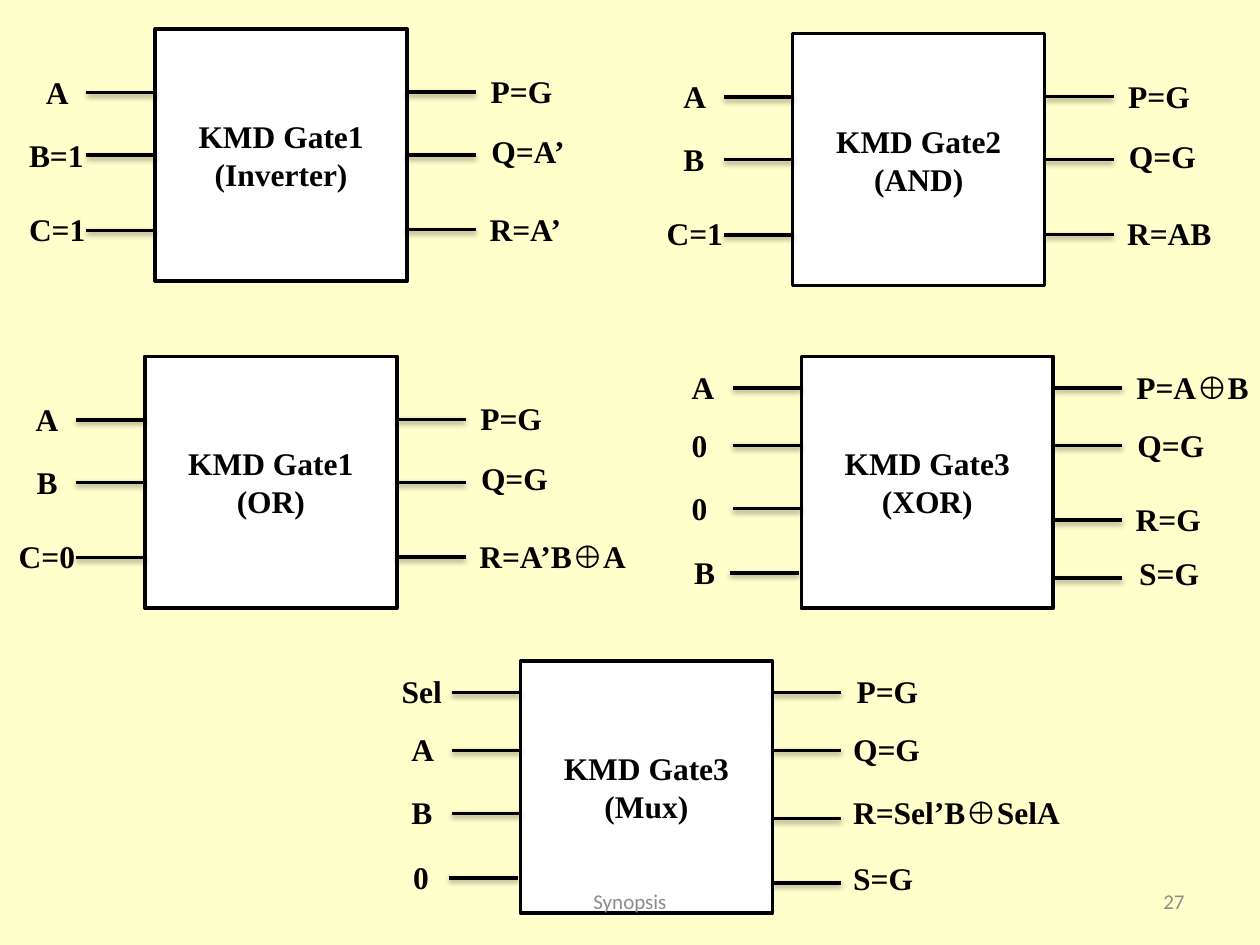
import pptx
import pptx.util
import pptx.dml.color
import pptx.enum.shapes
import pptx.enum.text
import pptx.oxml
import pptx.oxml.ns

Pt = pptx.util.Pt
RGB = pptx.dml.color.RGBColor.from_string
Align = pptx.enum.text.PP_ALIGN
Anchor = pptx.enum.text.MSO_ANCHOR
Fit = pptx.enum.text.MSO_AUTO_SIZE
Shape = pptx.enum.shapes.MSO_SHAPE
Straight = pptx.enum.shapes.MSO_CONNECTOR.STRAIGHT

theme = {
    "paper": RGB("FFFFCC"),
    "fill": RGB("FFFFFF"),
    "ink": RGB("000000"),
    "gray": RGB("8C8C8C"),
    "gate": {"name": "Times New Roman", "size": Pt(18), "bold": True},
    "foot": {"name": "Calibri", "size": Pt(12), "bold": False},
}
shadow = (
    f'<a:effectLst {pptx.oxml.ns.nsdecls("a")}>'
    '<a:outerShdw blurRad="40000" dist="20000" dir="5400000" rotWithShape="0">'
    '<a:srgbClr val="000000"><a:alpha val="38000"/></a:srgbClr>'
    '</a:outerShdw></a:effectLst>'
)


def write(frame, text, look, color, setup):
    for key, value in setup.items():
        setattr(frame, key, value)
    par = frame.paragraphs[0]
    par.text = text
    for key, value in look.items():
        setattr(par.font, key, value)
    par.font.color.rgb = color
    return par


def trim(line):
    line.color.rgb = theme["ink"]
    line.width = Pt(2)


side = 144
wire = 39.3
pad = 14.4
label = {"word_wrap": False, "auto_size": Fit.SHAPE_TO_FIT_TEXT}
middle = {"word_wrap": True, "vertical_anchor": Anchor.MIDDLE}
ems = {
    "A": 0.72, "B": 0.67, "C": 0.72, "G": 0.78, "P": 0.61, "Q": 0.78,
    "R": 0.72, "S": 0.56, "e": 0.44, "l": 0.28, "0": 0.5, "1": 0.5,
    "=": 0.57, "’": 0.33, "⊕": 1.15,
}

three = {"in": (36.3, 72, 115), "out": (36, 72, 114.7),
         "left": (21.3, 57.3, 99.8), "right": (21, 55.4, 99.8)}
four = {"in": (18, 51, 87, 123.8), "out": (18, 51, 90, 126.7),
        "left": (2.9, 36, 72, 108.7), "right": (2.9, 36, 72, 109.7)}
xor = four | {"out": (18, 51, 93.6, 126.7), "right": (2.9, 36, 78.5, 109.7)}

gates = [
    ("KMD Gate3 (Mux)", 297.4, 377.8, four,
     [("Sel", -75), ("A", -69.4), ("B", -69.4), ("0", -68.4)],
     [("P=G", 185), ("Q=G", 183), ("R=Sel’B⊕SelA", 183), ("S=G", 183)]),
    ("KMD Gate3 (XOR)", 457.9, 203.6, xor,
     [("A", -69.8), ("0", -69.8), ("0", -69.8), ("B", -68.4)],
     [("P=A⊕B", 184.4), ("Q=G", 185), ("R=G", 184), ("S=G", 186)]),
    ("KMD Gate1 (Inverter)", 88.7, 16.6, three,
     [("A", -69.6), ("B=1", -79.2), ("C=1", -79.2)],
     [("P=G", 184.6), ("Q=A’", 185), ("R=A’", 184)]),
    ("KMD Gate2 (AND)", 453, 19.2, three,
     [("A", -69.6), ("B", -69.6), ("C=1", -79.2)],
     [("P=G", 184.6), ("Q=G", 185), ("R=AB", 184)]),
    ("KMD Gate1 (OR)", 82.8, 203.6, three,
     [("A", -69.6), ("B", -69), ("C=0", -79.2)],
     [("P=G", 184.6), ("Q=G", 185), ("R=A’B⊕A", 184)]),
]

deck = pptx.Presentation()
deck.slide_width, deck.slide_height = Pt(720), Pt(540)
slide = deck.slides.add_slide(deck.slide_layouts[6])
slide.background.fill.solid()
slide.background.fill.fore_color.rgb = theme["paper"]

for title, left, top, rows, inputs, outputs in gates:
    group = slide.shapes.add_group_shape().shapes
    box = group.add_shape(Shape.RECTANGLE, Pt(left), Pt(top), Pt(side), Pt(side))
    box.shadow.inherit = False
    box.fill.solid()
    box.fill.fore_color.rgb = theme["fill"]
    trim(box.line)
    par = write(box.text_frame, title, theme["gate"], theme["ink"], middle)
    par.alignment = Align.CENTER

    banks = [(inputs, rows["in"], rows["left"], -wire),
             (outputs, rows["out"], rows["right"], side)]
    for pins, drops, tops, start in banks:
        for (text, shift), drop, rise in zip(pins, drops, tops):
            begin = left + start
            if start < 0 and drop == 123.8:
                begin -= 1.4
            level = Pt(top + drop)
            lead = group.add_connector(
                Straight, Pt(begin), level, Pt(begin + wire), level)
            trim(lead.line)
            lead._element.spPr.append(pptx.oxml.parse_xml(shadow))
            if drop == side / 2:
                if start < 0:
                    lead.end_connect(box, 1)
                else:
                    lead.begin_connect(box, 3)
            width = pad + 18 * sum(ems[sign] for sign in text)
            note = group.add_textbox(
                Pt(left + shift), Pt(top + rise), Pt(width), Pt(29))
            write(note.text_frame, text, theme["gate"], theme["ink"], label)

for text, left, width, align in [("Synopsis", 246, 228, Align.CENTER),
                                 ("27", 516, 168, Align.RIGHT)]:
    foot = slide.shapes.add_textbox(Pt(left), Pt(500.5), Pt(width), Pt(28.8))
    par = write(foot.text_frame, text, theme["foot"], theme["gray"], middle)
    par.alignment = align

deck.save("out.pptx")
